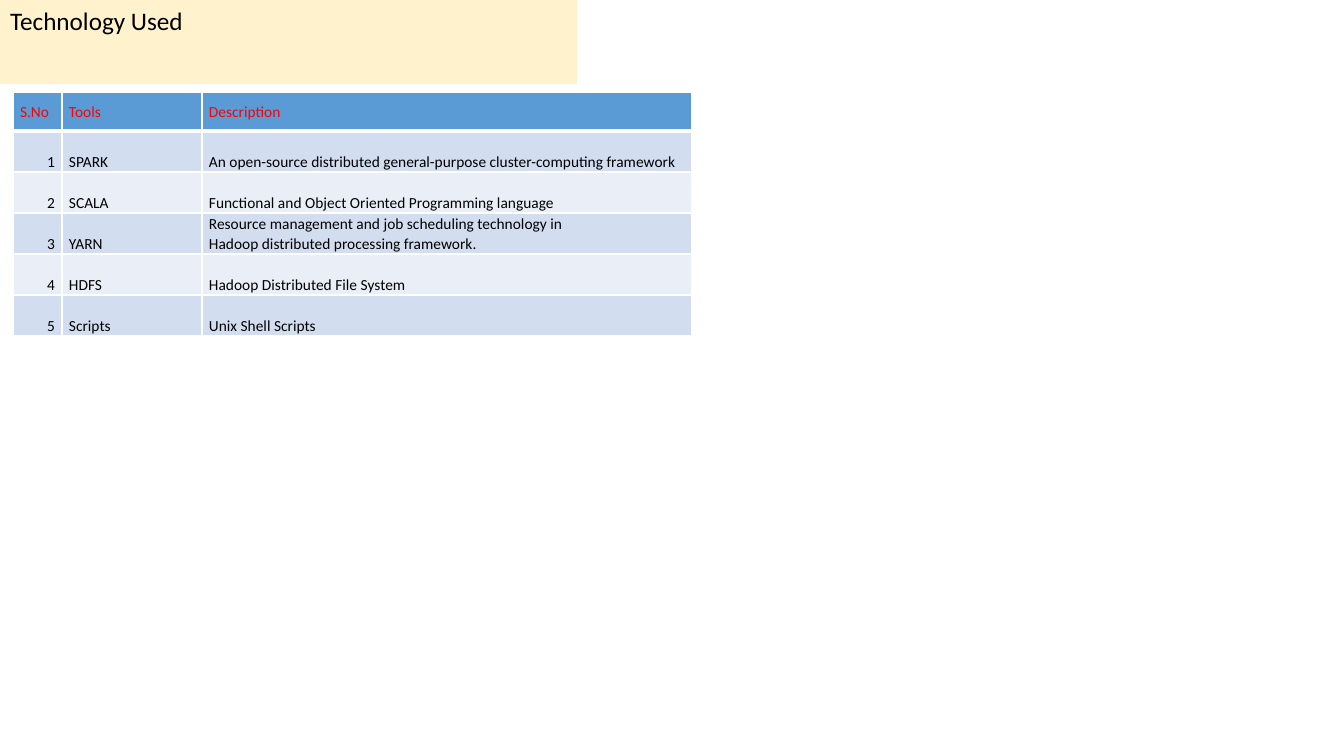
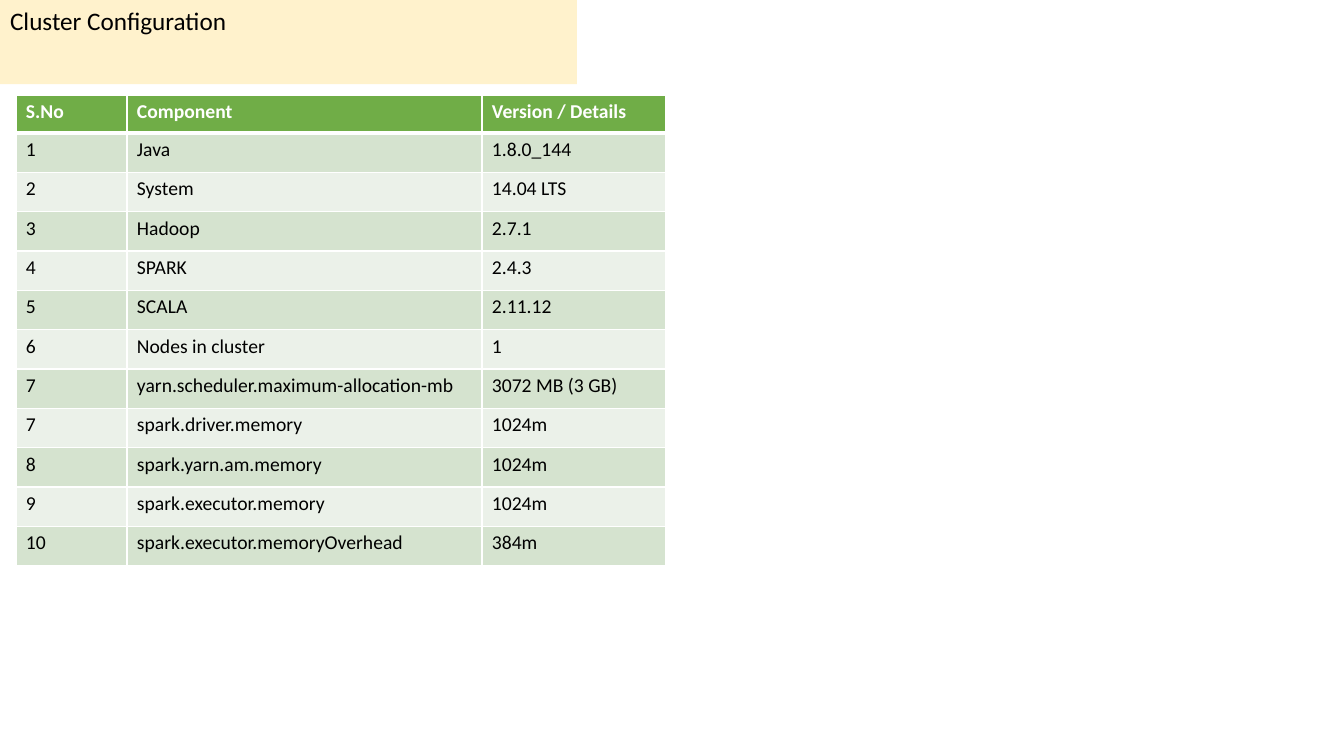
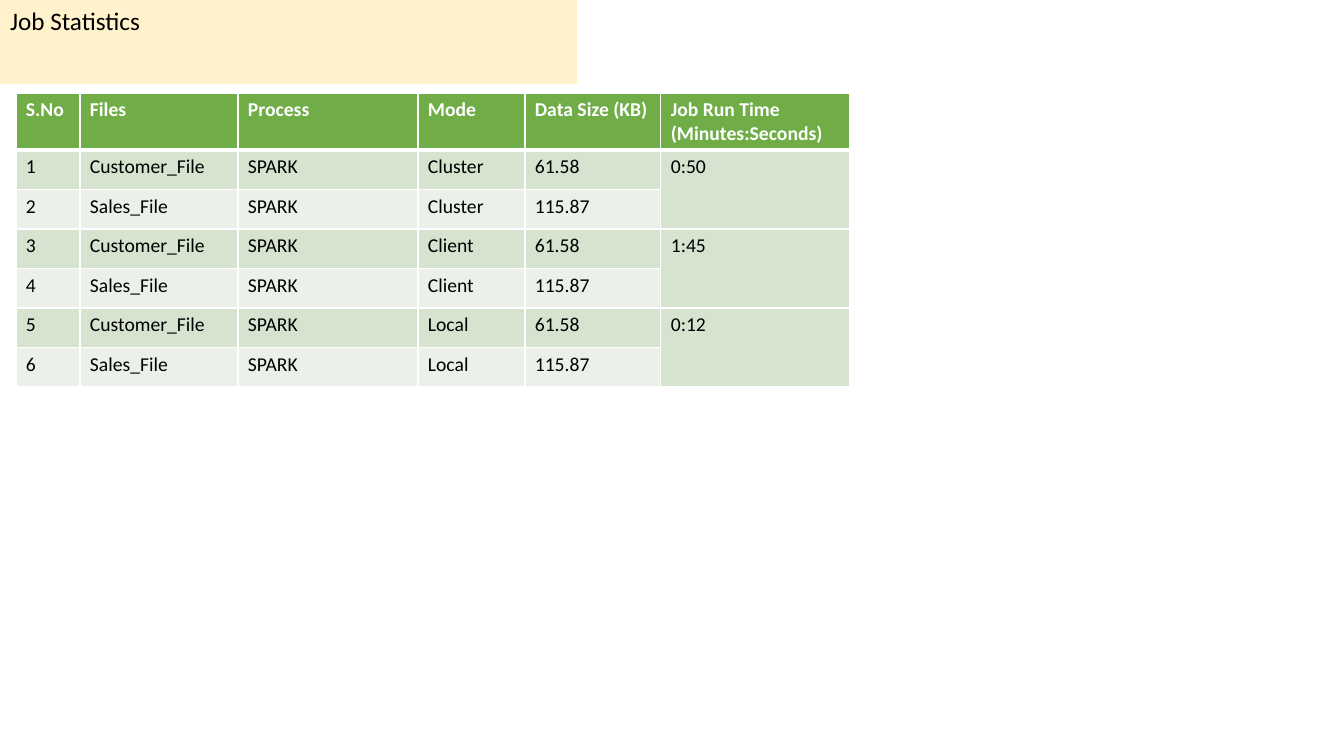
from dataclasses import dataclass

from lxml import etree
from pptx import Presentation
from pptx import util as u
from pptx.dml.color import RGBColor
from pptx.enum import text as t
from pptx.oxml import ns

# Shared look
SCALE = 914400 / 100.8
FONT = "Calibri"
BLACK = RGBColor(0x00, 0x00, 0x00)
WHITE = RGBColor(0xFF, 0xFF, 0xFF)
RED = RGBColor(0xFF, 0x00, 0x00)
CREAM = RGBColor(0xFF, 0xF2, 0xCC)
BLUE = RGBColor(0x5B, 0x9B, 0xD5)
BLUE_BANDS = (RGBColor(0xD2, 0xDE, 0xEF), RGBColor(0xEA, 0xEF, 0xF7))
GREEN = RGBColor(0x70, 0xAD, 0x47)
GREEN_BANDS = (RGBColor(0xD5, 0xE3, 0xCF), RGBColor(0xEB, 0xF1, 0xE9))
GRID_LINE, HEADER_LINE = 1, 3


@dataclass
class TableStyle:
    header_fill: RGBColor
    bands: tuple
    header_color: RGBColor
    header_bold: bool
    size: int
    margins: tuple = (10, 5)
    header_anchor: t.MSO_ANCHOR = t.MSO_ANCHOR.TOP
    body_anchor: t.MSO_ANCHOR = t.MSO_ANCHOR.TOP
    number_align: t.PP_ALIGN = t.PP_ALIGN.LEFT
    spacing: float = 1.0


BLUE_STYLE = TableStyle(BLUE, BLUE_BANDS, RED, False, 11, (7, 0),
                        t.MSO_ANCHOR.MIDDLE, t.MSO_ANCHOR.BOTTOM,
                        t.PP_ALIGN.RIGHT, 1.07)
GREEN_STYLE = TableStyle(GREEN, GREEN_BANDS, WHITE, True, 14)

# Content
TOOLS = [
    ("S.No", "Tools", "Description"),
    ("1", "SPARK", "An open-source distributed general-purpose cluster-computing framework"),
    ("2", "SCALA", "Functional and Object Oriented Programming language"),
    ("3", "YARN", "Resource management and job scheduling technology in "
                  "Hadoop\u00a0distributed processing framework."),
    ("4", "HDFS", "Hadoop Distributed File System"),
    ("5", "Scripts", "Unix Shell Scripts"),
]
CLUSTER = [
    ("S.No", "Component", "Version / Details"),
    ("1", "Java", "1.8.0_144"),
    ("2", "System", "14.04 LTS"),
    ("3", "Hadoop", "2.7.1"),
    ("4", "SPARK", "2.4.3"),
    ("5", "SCALA", "2.11.12"),
    ("6", "Nodes in cluster", "1"),
    ("7", "yarn.scheduler.maximum-allocation-mb", "3072 MB (3 GB)"),
    ("7", "spark.driver.memory", "1024m"),
    ("8", "spark.yarn.am.memory", "1024m"),
    ("9", "spark.executor.memory", "1024m"),
    ("10", "spark.executor.memoryOverhead", "384m"),
]
RUN_TIMES = [("Cluster", "0:50"), ("Client", "1:45"), ("Local", "0:12")]
FILES = [("Customer_File", "61.58"), ("Sales_File", "115.87")]


def job_rows():
    """Each mode handles both files; its run time spans the two rows."""
    rows = [("S.No", "Files", "Process", "Mode", "Data Size (KB)",
             "Job Run Time (Minutes:Seconds)")]
    for mode, run_time in RUN_TIMES:
        for index, (name, size) in enumerate(FILES):
            rows.append((str(len(rows)), name, "SPARK", mode, size,
                         None if index else run_time))
    return rows


def px(value):
    return u.Emu(round(value * SCALE))


def write_text(frame, text, size, color=BLACK, bold=False,
               align=t.PP_ALIGN.LEFT, spacing=1.0):
    para = frame.paragraphs[0]
    para.alignment = align
    para.line_spacing = spacing
    span = para.add_run()
    span.text = text
    span.font.name = FONT
    span.font.size = u.Pt(size)
    span.font.bold = bold
    span.font.color.rgb = color


def add_page(deck, title):
    page = deck.slides.add_slide(deck.slide_layouts[5])
    band = page.shapes.title
    band.left, band.top, band.width, band.height = px(0), px(0), px(577), px(40)
    band.fill.solid()
    band.fill.fore_color.rgb = CREAM
    frame = band.text_frame
    frame.word_wrap = True
    frame.auto_size = t.MSO_AUTO_SIZE.SHAPE_TO_FIT_TEXT
    frame.vertical_anchor = t.MSO_ANCHOR.TOP
    write_text(frame, title, 18)
    return page


def set_borders(cell, top, bottom):
    properties = cell._tc.get_or_add_tcPr()
    widths = {"a:lnL": GRID_LINE, "a:lnR": GRID_LINE, "a:lnT": top, "a:lnB": bottom}
    for tag, width in widths.items():
        line = etree.SubElement(properties, ns.qn(tag), w=str(u.Pt(width)))
        fill = etree.SubElement(line, ns.qn("a:solidFill"))
        etree.SubElement(fill, ns.qn("a:srgbClr"), val=str(WHITE))


def format_cell(cell, row, style):
    header = row == 0
    cell.margin_left = cell.margin_right = px(style.margins[0])
    cell.margin_top = cell.margin_bottom = px(style.margins[1])
    cell.vertical_anchor = style.header_anchor if header else style.body_anchor
    set_borders(cell, top=HEADER_LINE if row == 1 else GRID_LINE,
                bottom=HEADER_LINE if header else GRID_LINE)
    cell.fill.solid()
    cell.fill.fore_color.rgb = (style.header_fill if header
                                else style.bands[(row - 1) % 2])


def add_grid(page, rows, left, top, columns, header_height, body_height, style):
    """Draw a table; a None entry joins its cell to the one above."""
    grid = page.shapes.add_table(len(rows), len(columns), px(left), px(top),
                                 px(sum(columns)),
                                 px(header_height + body_height)).table
    grid.first_row = grid.horz_banding = False
    for column, width in zip(grid.columns, columns):
        column.width = px(width)
    for index, line in enumerate(grid.rows):
        line.height = px(body_height / (len(rows) - 1) if index else header_height)
    for row, values in enumerate(rows):
        for column, value in enumerate(values):
            cell = grid.cell(row, column)
            format_cell(cell, row, style)
            if value is None:
                grid.cell(row - 1, column).merge(cell)
                continue
            header = row == 0
            number = column == 0 and not header
            write_text(cell.text_frame, value, style.size,
                       color=style.header_color if header else BLACK,
                       bold=header and style.header_bold,
                       align=style.number_align if number else t.PP_ALIGN.LEFT,
                       spacing=style.spacing)


def main():
    deck = Presentation()
    deck.slide_width, deck.slide_height = px(1344), px(756)

    # Technology
    page = add_page(deck, "Technology Used")
    add_grid(page, TOOLS, 13, 92, (49, 140, 490), 39, 205, BLUE_STYLE)

    # Cluster
    page = add_page(deck, "Cluster Configuration")
    add_grid(page, CLUSTER, 16, 95, (111, 355, 184), 38, 433, GREEN_STYLE)

    # Jobs
    page = add_page(deck, "Job Statistics")
    add_grid(page, job_rows(), 16, 93, (64, 158, 180, 107, 136, 189), 57, 237,
             GREEN_STYLE)

    deck.save("out.pptx")


main()
